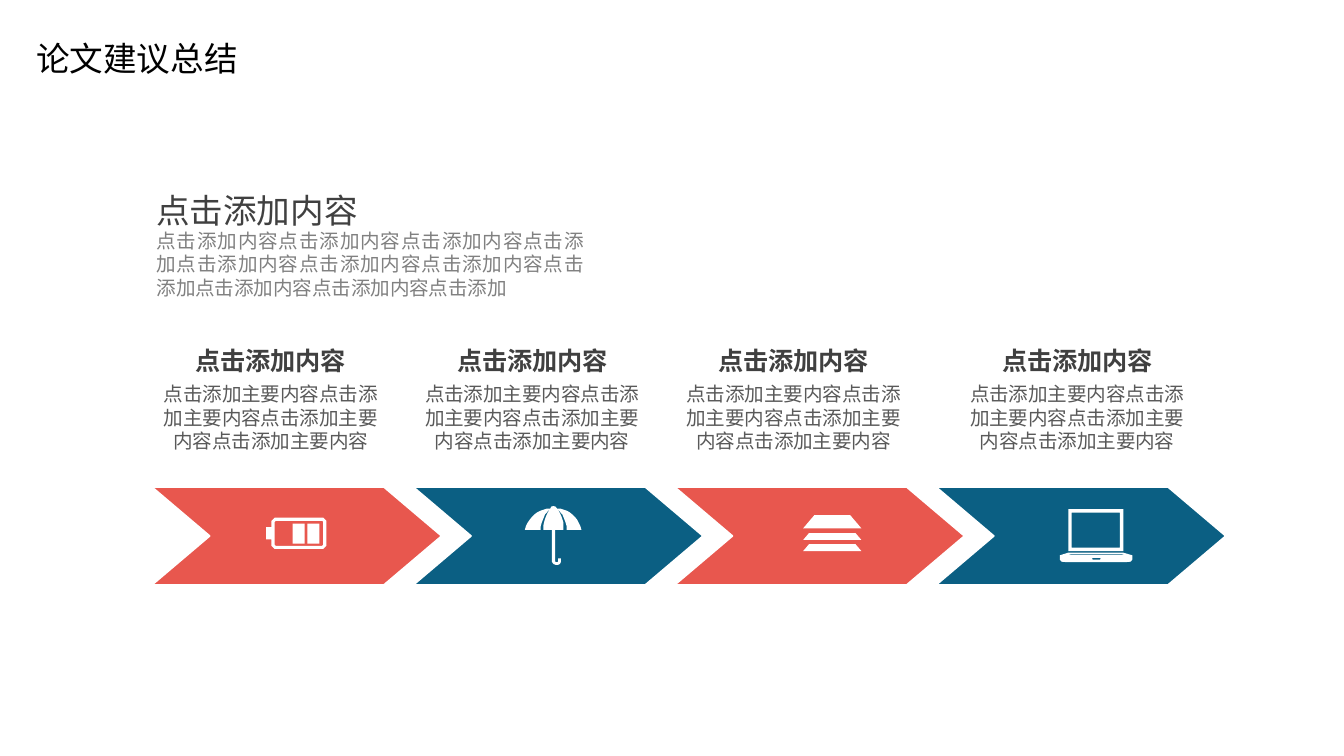
from typing import NamedTuple

from lxml import etree
from pptx import Presentation
from pptx.dml.color import RGBColor
from pptx.enum import shapes, text
from pptx.oxml.ns import qn
from pptx.util import Cm, Pt

FONT = "Noto Sans CJK SC"
COLORS = {
    "title": "000000", "heading": "404040", "label": "595959", "intro": "808080",
    "red": "E8574E", "blue": "0B5F83", "white": "FFFFFF",
}
HEADING = "点击添加内容"
LABEL = "点击添加主要内容" * 4
INTRO = (HEADING * 3 + "点击添加") * 2 + HEADING * 2 + "点击添加"

ARROW_LEFT, ARROW_TOP, ARROW_STEP = 2.87, 9.2, 4.94
ARROW_W, ARROW_H = 5.48, 1.85

Point = tuple[float, float]


class Style(NamedTuple):
    size: float
    color: str
    bold: bool = False
    align: text.PP_ALIGN = text.PP_ALIGN.LEFT


class Box(NamedTuple):
    left: float
    top: float
    width: float
    height: float


class Preset(NamedTuple):
    """Icon part as a preset shape, placed from the arrow's top left corner."""
    kind: shapes.MSO_SHAPE
    box: Box
    adjust: float | None = None


class Outline(NamedTuple):
    """Icon part as contours, in hundredths of a cm from the arrow's corner."""
    contours: list[list[Point]]


class Step(NamedTuple):
    color: str
    icon: list[Preset | Outline]
    label_shift: float = 0


def curve(a: Point, b: Point, c: Point, d: Point, n: int = 10) -> list[Point]:
    """Points along a cubic Bezier curve."""
    return [
        tuple((1 - t) ** 3 * a[i] + 3 * (1 - t) ** 2 * t * b[i]
              + 3 * (1 - t) * t ** 2 * c[i] + t ** 3 * d[i] for i in (0, 1))
        for t in (k / n for k in range(n + 1))
    ]


def cut_rect(x1: float, y1: float, x2: float, y2: float, cut: float) -> list[Point]:
    """Rectangle with small cut corners."""
    return [(x1 + cut, y1), (x2 - cut, y1), (x2, y1 + cut), (x2, y2 - cut),
            (x2 - cut, y2), (x1 + cut, y2), (x1, y2 - cut), (x1, y1 + cut)]


BATTERY = [
    Outline([
        [(232, 58), (324, 58), (330, 64), (330, 111), (324, 117), (232, 117),
         (226, 111), (226, 99), (216, 99), (216, 76), (226, 76), (226, 64)],
        cut_rect(232, 64, 324, 111, 2),
    ]),
    *(Preset(shapes.MSO_SHAPE.RECTANGLE, Box(x, 0.69, 0.23, 0.38)) for x in (2.66, 2.94)),
]
UMBRELLA = [Outline([
    [
        *curve((318, 81), (312, 58), (295, 41), (272, 41)),
        (269, 37), (265, 36), (261, 37),
        *curve((259, 41), (236, 41), (218, 58), (211, 81)),
        *curve((241, 81), (241, 56), (257, 43), (259, 41)),
        *curve((259, 41), (244, 61), (246, 81), (246, 81)),
        (262, 81),
        *curve((262, 140), (262, 144), (267, 147), (271, 147)),
        *curve((271, 147), (276, 147), (279, 144), (279, 140)),
        (279, 135), (274, 135),
        *curve((274, 140), (274, 143), (268, 143), (268, 140)),
        (268, 81),
        *curve((284, 81), (284, 81), (287, 61), (272, 41)),
        *curve((272, 41), (274, 43), (290, 56), (290, 81)),
    ],
])]
LAYERS = [
    Preset(shapes.MSO_SHAPE.TRAPEZOID, Box(2.43, top, 1.1, height), 0.85)
    for top, height in ((0.53, 0.25), (0.87, 0.13), (1.08, 0.13))
]
LAPTOP = [
    Preset(shapes.MSO_SHAPE.FRAME, Box(2.5, 0.42, 1.04, 0.79), 0.08),
    Outline([
        [(250, 124), (354, 124), (371, 129), (371, 137), (368, 141), (358, 142),
         (247, 142), (237, 141), (234, 137), (234, 129)],
        cut_rect(295, 134, 311, 137, 1),
        [(250, 127), (356, 127), (352, 128), (254, 128)],
    ]),
]
STEPS = [
    Step("red", BATTERY),
    Step("blue", UMBRELLA),
    Step("red", LAYERS),
    Step("blue", LAPTOP, label_shift=0.42),
]


def rgb(name: str) -> RGBColor:
    return RGBColor.from_string(COLORS[name])


def write(tf, words: str, style: Style) -> None:
    p = tf.paragraphs[0]
    p.text = words
    p.alignment = style.align
    f = p.font
    f.size, f.bold, f.name = Pt(style.size), style.bold, FONT
    f.color.rgb = rgb(style.color)
    # East Asian characters take their font from a:ea
    etree.SubElement(p._p.pPr.find(qn("a:defRPr")), qn("a:ea"), typeface=FONT)


def add_text(slide, box: Box, words: str, style: Style, inset: Point = (0.25, 0.13)):
    tf = slide.shapes.add_textbox(*map(Cm, box)).text_frame
    tf.word_wrap = True
    tf.margin_left = tf.margin_right = Cm(inset[0])
    tf.margin_top = tf.margin_bottom = Cm(inset[1])
    write(tf, words, style)
    return tf.paragraphs[0]


def paint(sp, color: str) -> None:
    sp.shadow.inherit = False
    sp.fill.solid()
    sp.fill.fore_color.rgb = rgb(color)
    sp.line.fill.background()


def add_preset(slide, preset: Preset, color: str, left: float = 0, top: float = 0):
    b = preset.box
    sp = slide.shapes.add_shape(
        preset.kind, Cm(left + b.left), Cm(top + b.top), Cm(b.width), Cm(b.height))
    if preset.adjust is not None:
        sp.adjustments[0] = preset.adjust
    paint(sp, color)
    return sp


def add_outline(slide, outline: Outline, color: str, left: float, top: float) -> None:
    first, *others = outline.contours
    fb = slide.shapes.build_freeform(*first[0], scale=Cm(0.01))
    fb.add_line_segments(first[1:])
    for contour in others:
        fb.move_to(*contour[0])
        fb.add_line_segments(contour[1:])
    paint(fb.convert_to_shape(Cm(left), Cm(top)), color)


def add_step(slide, step: Step, left: float) -> None:
    arrow = Preset(shapes.MSO_SHAPE.CHEVRON, Box(left, ARROW_TOP, ARROW_W, ARROW_H), 0.59)
    line = add_preset(slide, arrow, step.color).line
    line.color.rgb, line.width = rgb("white"), Pt(1)
    for part in step.icon:
        draw = add_preset if isinstance(part, Preset) else add_outline
        draw(slide, part, "white", left, ARROW_TOP)
    x, center = left + step.label_shift, text.PP_ALIGN.CENTER
    add_text(slide, Box(x, 6.42, 4.5, 0.76), HEADING,
             Style(13.5, "heading", True, center), (0.19, 0.1))
    add_text(slide, Box(x, 7.12, 4.5, 1.55), LABEL,
             Style(10.5, "label", align=center), (0.19, 0.1))


def main() -> None:
    prs = Presentation()
    prs.slide_width, prs.slide_height = Cm(25.4), Cm(14.28)
    slide = prs.slides.add_slide(prs.slide_layouts[5])

    title = slide.shapes.title
    title.left, title.top, title.width, title.height = map(Cm, (0.43, 0.58, 4.37, 1.02))
    title.text_frame.word_wrap = False
    title.text_frame.auto_size = text.MSO_AUTO_SIZE.NONE
    write(title.text_frame, "论文建议总结", Style(18, "title"))

    add_text(slide, Box(2.7, 3.45, 11.33, 1.02), HEADING, Style(18, "heading"))
    intro = add_text(slide, Box(2.71, 4.19, 8.59, 1.6), INTRO,
                     Style(10.5, "intro", align=text.PP_ALIGN.JUSTIFY))
    intro.space_after = Pt(4.5)

    for i, step in enumerate(STEPS):
        add_step(slide, step, ARROW_LEFT + i * ARROW_STEP)
    prs.save("out.pptx")


if __name__ == "__main__":
    main()
